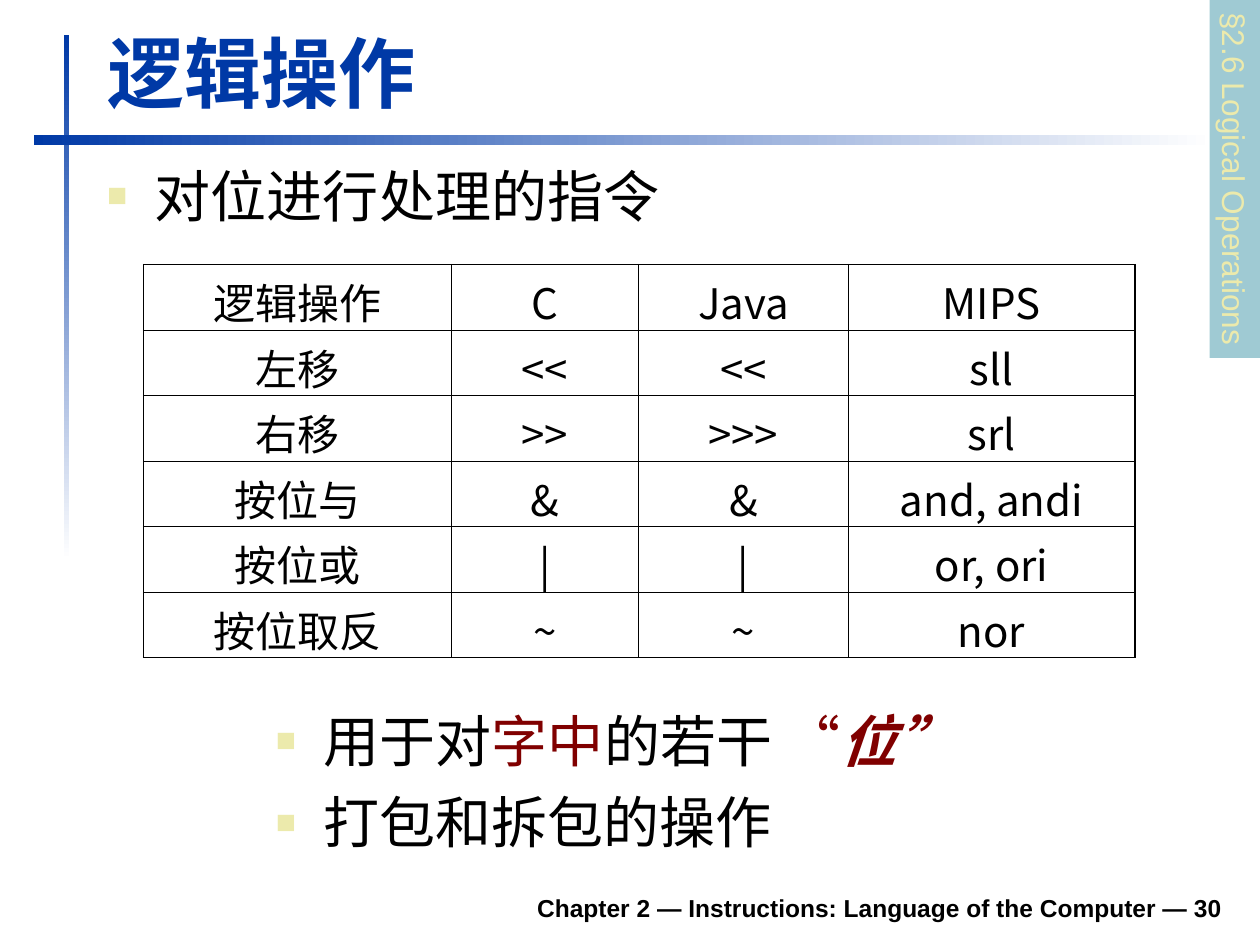
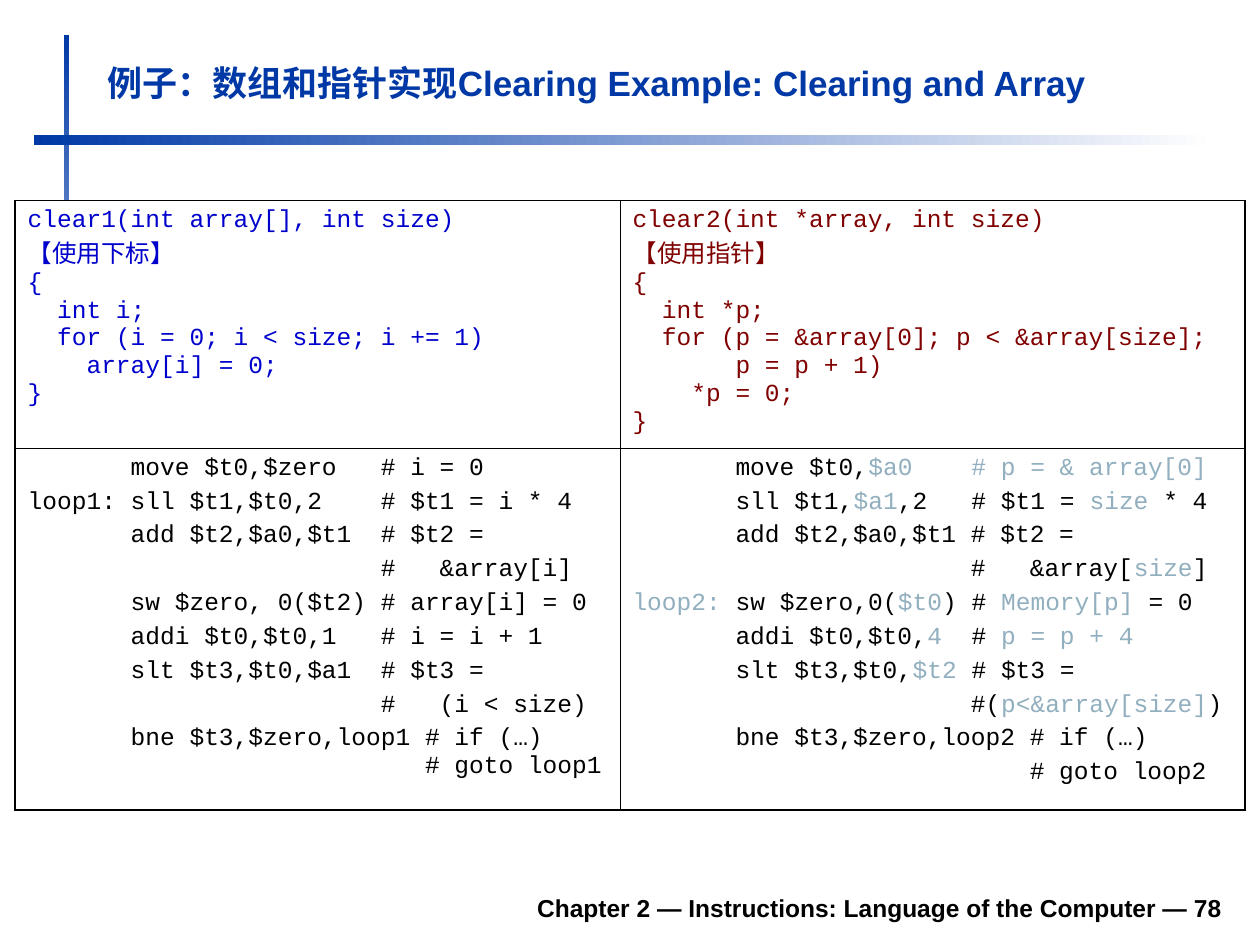
from itertools import cycle

from lxml import etree
from pptx import Presentation
from pptx.dml.color import RGBColor
from pptx.enum.shapes import MSO_SHAPE as Preset
from pptx.enum.text import MSO_ANCHOR as Anchor, PP_ALIGN as Align
from pptx.oxml.ns import qn
from pptx.util import Inches, Pt

# Shared look
BLUE, WHITE, BLACK = "0039A6", "FFFFFF", "000000"
MAROON, CODE_BLUE, CODE_ACCENT = "800000", "0000CC", "91AFBF"
SAND, TEAL = "ECEAAC", "9FCAD3"
SANS, CJK, MONO = "Arial", "Noto Sans CJK SC", "Courier New"
OUTER, HEADER, INNER = 1.08, 0.75, 0.45
FOOTER = "Chapter 2 — Instructions: Language of the Computer — "

OPERATIONS = [
    ["逻辑操作", "C", "Java", "MIPS"],
    ["左移", "<<", "<<", "sll"],
    ["右移", ">>", ">>>", "srl"],
    ["按位与", "&", "&", "and, andi"],
    ["按位或", "|", "|", "or, ori"],
    ["按位取反", "~", "~", "nor"],
]

ARRAY_C = """clear1(int array[], int size)
【使用下标】
{
  int i;
  for (i = 0; i < size; i += 1)
    array[i] = 0;
}"""

POINTER_C = """clear2(int *array, int size)
【使用指针】
{
  int *p;
  for (p = &array[0]; p < &array[size];
       p = p + 1)
    *p = 0;
}"""

# A vertical tab breaks a line inside its paragraph
ARRAY_ASM = """       move $t0,$zero   # i = 0
loop1: sll $t1,$t0,2    # $t1 = i * 4
       add $t2,$a0,$t1  # $t2 =
                        #   &array[i]
       sw $zero, 0($t2) # array[i] = 0
       addi $t0,$t0,1   # i = i + 1
       slt $t3,$t0,$a1  # $t3 =
                        #   (i < size)
       bne $t3,$zero,loop1 # if (…)\v                           # goto loop1"""

# Bars switch between the plain and the accent colour
POINTER_ASM = """       move $t0,|$a0    # p = & array[0]
       sll $t1,|$a1|,2   # $t1 = |size| * 4
       add $t2,$a0,$t1 # $t2 =
                       #   &array[|size|]
|loop2:| sw $zero,0(|$t0|) # |Memory[p]| = 0
       addi $t0,$t0,|4|  # |p = p + 4
       slt $t3,$t0,|$t2| # $t3 =
                       #(|p<&array[size]|)
       bne $t3,$zero,loop2 # if (…)
                           # goto loop2"""


def rgb(value):
    return RGBColor.from_string(value)


def place(item, box):
    item.left, item.top, item.width, item.height = map(Inches, box)


def add_span(para, text, size, colour, font=SANS, bold=False, italic=False):
    for index, piece in enumerate(text.split("\v")):
        if index:
            para.add_line_break()
        span = para.add_run()
        span.text = piece
        span.font.size, span.font.name = Pt(size), font
        span.font.bold, span.font.italic = bold, italic
        span.font.color.rgb = rgb(colour)


def next_para(frame, index, gap=0):
    para = frame.add_paragraph() if index else frame.paragraphs[0]
    para.space_before = Pt(gap if index else 0)
    return para


def add_bar(page, box, fill=None, angle=None):
    bar = page.shapes.add_shape(Preset.RECTANGLE, *map(Inches, box))
    bar.shadow.inherit = False
    bar.line.fill.background()
    if fill:
        bar.fill.solid()
        bar.fill.fore_color.rgb = rgb(fill)
    else:
        bar.fill.gradient()
        bar.fill.gradient_angle = angle
        for stop, colour in zip(bar.fill.gradient_stops, (BLUE, WHITE)):
            stop.color.rgb = rgb(colour)
    return bar


def add_frame(page, number):
    """Fading bars and footer."""
    add_bar(page, (0.51, 0.28, 0.04, 4.17), angle=270)
    add_bar(page, (0.27, 1.07, 9.37, 0.08), angle=0)
    footer = page.shapes.add_textbox(*map(Inches, (1.85, 6.98, 7.95, 0.39)))
    frame = footer.text_frame
    frame.word_wrap, frame.vertical_anchor = True, Anchor.BOTTOM
    para = next_para(frame, 0)
    para.alignment = Align.RIGHT
    add_span(para, f"{FOOTER}{number}", 14, BLACK, bold=True)


def set_title(page, box, text, size):
    title = page.shapes.title
    place(title, box)
    title.text_frame.vertical_anchor = Anchor.BOTTOM
    para = next_para(title.text_frame, 0)
    para.alignment = Align.LEFT
    add_span(para, text, size, BLUE, bold=True)


def fill_list(frame, items):
    """Square-bulleted list; each item is a list of (text, colour, slanted)."""
    frame.word_wrap = True
    for index, item in enumerate(items):
        para = next_para(frame, index, 8)
        props = para._p.get_or_add_pPr()
        props.set("marL", str(Inches(0.38)))
        props.set("indent", str(-Inches(0.38)))
        colour = etree.SubElement(props, qn("a:buClr"))
        etree.SubElement(colour, qn("a:srgbClr"), val=SAND)
        etree.SubElement(props, qn("a:buSzPct"), val="60000")
        etree.SubElement(props, qn("a:buFont"), typeface=SANS)
        etree.SubElement(props, qn("a:buChar"), char="■")
        for text, tint, slanted in item:
            add_span(para, text, 32, tint, bold=slanted, italic=slanted)


def set_borders(cell, widths):
    props = cell._tc.get_or_add_tcPr()
    for side, width in zip("LRTB", widths):
        line = etree.SubElement(props, qn(f"a:ln{side}"), w=str(Pt(width)))
        solid = etree.SubElement(line, qn("a:solidFill"))
        etree.SubElement(solid, qn("a:srgbClr"), val=BLACK)


def add_grid(page, box, columns, rows, header=INNER, fill=None):
    """Ruled table with a heavier outline; header is the rule under row one."""
    table = page.shapes.add_table(len(rows), len(columns), *map(Inches, box)).table
    table.first_row = table.horz_banding = False
    for column, width in zip(table.columns, columns):
        column.width = Inches(width)
    across = [OUTER] + [INNER] * (len(columns) - 1) + [OUTER]
    down = [OUTER, header] + [INNER] * (len(rows) - 2) + [OUTER]
    for r, height in enumerate(rows):
        table.rows[r].height = Inches(height)
        for c in range(len(columns)):
            cell = table.cell(r, c)
            set_borders(cell, across[c:c + 2] + down[r:r + 2])
            if fill:
                cell.fill.solid()
                cell.fill.fore_color.rgb = rgb(fill)
            else:
                cell.fill.background()
    return table


def fill_code(cell, code, colour, gap=0):
    for index, line in enumerate(code.split("\n")):
        para = next_para(cell.text_frame, index, gap)
        for text, tint in zip(line.split("|"), cycle((colour, CODE_ACCENT))):
            if text:
                add_span(para, text, 14, tint, MONO)


def add_section_tab(page, box, text):
    tab = add_bar(page, box, fill=TEAL)
    tab.rotation = 90
    tab.text_frame.word_wrap = False
    para = next_para(tab.text_frame, 0)
    para.alignment = Align.LEFT
    add_span(para, text, 18, SAND)


def build_operations(deck):
    page = deck.slides.add_slide(deck.slide_layouts[1])
    add_frame(page, 30)
    set_title(page, (0.75, 0.16, 9.03, 0.83), "逻辑操作", 44)

    # Lists above and below the table
    body = page.placeholders[1]
    place(body, (0.75, 1.23, 9.04, 0.76))
    fill_list(body.text_frame, [[("对位进行处理的指令", BLACK, False)]])
    uses = page.shapes.add_textbox(*map(Inches, (2.09, 5.56, 5.75, 1.18)))
    fill_list(uses.text_frame, [
        [("用于对", BLACK, False), ("字中", MAROON, False), ("的若干", BLACK, False),
         (" “", MAROON, False), ("位”", MAROON, True)],
        [("打包和拆包的操作", BLACK, False)],
    ])

    # Operators by language
    table = add_grid(page, (1.14, 2.1, 7.88, 3.09), (2.44, 1.49, 1.66, 2.28),
                     [0.52] * len(OPERATIONS), header=HEADER)
    for r, row in enumerate(OPERATIONS):
        for c, text in enumerate(row):
            para = next_para(table.cell(r, c).text_frame, 0)
            para.alignment = Align.CENTER
            add_span(para, text, 24, BLACK, CJK)
    add_section_tab(page, (8.38, 1.22, 2.84, 0.4), "§2.6 Logical Operations")


def build_clearing(deck):
    page = deck.slides.add_slide(deck.slide_layouts[5])
    add_frame(page, 78)
    set_title(page, (0.75, 0.44, 9.03, 0.43),
              "例子：数组和指针实现Clearing Example: Clearing and Array", 20)

    # C source above, assembly below
    table = add_grid(page, (0.12, 1.59, 9.76, 4.84), (4.8, 4.96), (1.97, 2.87), fill=WHITE)
    fill_code(table.cell(0, 0), ARRAY_C, CODE_BLUE)
    fill_code(table.cell(0, 1), POINTER_C, MAROON)
    fill_code(table.cell(1, 0), ARRAY_ASM, BLACK, 3.5)
    fill_code(table.cell(1, 1), POINTER_ASM, BLACK, 3.5)


def main():
    deck = Presentation()
    deck.slide_width, deck.slide_height = Inches(10), Inches(7.5)
    build_operations(deck)
    build_clearing(deck)
    deck.save("out.pptx")


if __name__ == "__main__":
    main()
